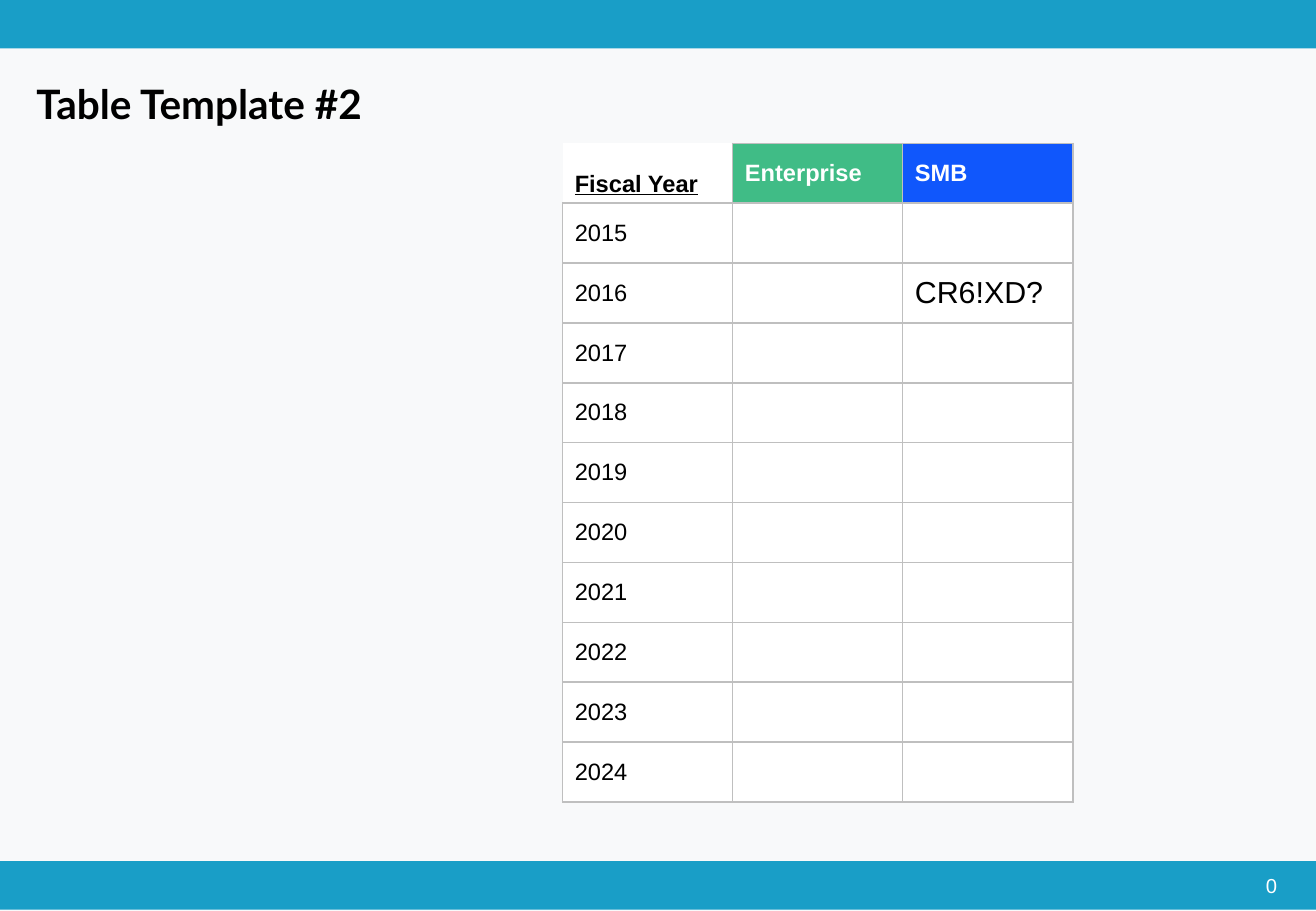
from dataclasses import dataclass

from pptx import Presentation
from pptx import util as u
from pptx.dml.color import RGBColor
from pptx.enum import shapes, text
from pptx.oxml import parse_xml
from pptx.oxml.ns import nsdecls

TEAL, WHITE, BLACK, GREY = "199EC7", "FFFFFF", "000000", "BFBFBF"
WIDTH, HEIGHT, BAND_HEIGHT = 10.83, 7.5, 0.4
YEARS = range(2015, 2025)
COLUMN_WIDTH, ROW_HEIGHT = 1.4, 0.493
EDGES = ("L", "R", "T", "B")


@dataclass
class Entry:
    """Content and look of one table cell."""

    words: str = ""
    fill: str = WHITE
    color: str = BLACK
    size: float = 14
    bold: bool = False
    underline: bool = False
    anchor: text.MSO_ANCHOR = text.MSO_ANCHOR.MIDDLE
    edges: tuple[str, ...] = EDGES


def rgb(color: str) -> RGBColor:
    """Turn a hex string into a colour."""
    return RGBColor.from_string(color)


def write(frame, words: str, *, size: float, color: str = BLACK, font: str = "Arial",
          bold: bool = False, underline: bool = False, align=text.PP_ALIGN.LEFT) -> None:
    """Put one formatted line of text into a text frame."""
    paragraph = frame.paragraphs[0]
    paragraph.alignment = align
    run = paragraph.add_run()
    run.text = words
    run.font.name = font
    run.font.size = u.Pt(size)
    run.font.bold = bold
    run.font.underline = underline
    run.font.color.rgb = rgb(color)


def add_band(slide, top: float) -> None:
    """Draw a full-width band."""
    band = slide.shapes.add_shape(shapes.MSO_SHAPE.RECTANGLE, 0, u.Inches(top),
                                  u.Inches(WIDTH), u.Inches(BAND_HEIGHT))
    band.shadow.inherit = False
    band.fill.solid()
    band.fill.fore_color.rgb = rgb(TEAL)
    band.line.fill.background()


def add_text(slide, words: str, left: float, top: float, width: float, height: float,
             **style) -> None:
    """Add a text box without margins."""
    frame = slide.shapes.add_textbox(*map(u.Inches, (left, top, width, height))).text_frame
    frame.word_wrap = True
    frame.margin_left = frame.margin_right = frame.margin_top = frame.margin_bottom = 0
    write(frame, words, **style)


def edge_xml(edge: str, visible: bool) -> str:
    """Describe one cell border."""
    paint = f'<a:solidFill><a:srgbClr val="{GREY}"/></a:solidFill>' if visible else "<a:noFill/>"
    return f'<a:ln{edge} {nsdecls("a")} w="{u.Pt(1)}">{paint}</a:ln{edge}>'


def fill_cell(cell, entry: Entry) -> None:
    """Apply an entry to a table cell."""
    properties = cell._tc.get_or_add_tcPr()
    for edge in EDGES:
        properties.append(parse_xml(edge_xml(edge, edge in entry.edges)))
    cell.fill.solid()
    cell.fill.fore_color.rgb = rgb(entry.fill)
    cell.vertical_anchor = entry.anchor
    if entry.words:
        write(cell.text_frame, entry.words, size=entry.size, color=entry.color,
              bold=entry.bold, underline=entry.underline)


def add_grid(slide, rows: list[list[Entry]], left: float, top: float) -> None:
    """Draw the table of entries with equal rows and columns."""
    columns = len(rows[0])
    grid = slide.shapes.add_table(len(rows), columns, u.Inches(left), u.Inches(top),
                                  u.Inches(COLUMN_WIDTH * columns),
                                  u.Inches(ROW_HEIGHT * len(rows))).table
    grid.first_row = grid.horz_banding = False
    for r, row in enumerate(rows):
        for c, entry in enumerate(row):
            fill_cell(grid.cell(r, c), entry)


def main() -> None:
    """Build and save the slide."""
    deck = Presentation()
    deck.slide_width, deck.slide_height = u.Inches(WIDTH), u.Inches(HEIGHT)
    slide = deck.slides.add_slide(deck.slide_layouts[6])
    slide.background.fill.solid()
    slide.background.fill.fore_color.rgb = rgb("F8F9FA")

    for top in (7.09, 0):
        add_band(slide, top)
    add_text(slide, "Table Template #2", 0.3, 0.65, 10.21, 0.78,
             size=24, font="Lato", bold=True)
    add_text(slide, "0", 9.92, 7.19, 0.59, 0.2,
             size=12, color=WHITE, align=text.PP_ALIGN.RIGHT)

    header = [
        Entry("Fiscal Year", bold=True, underline=True,
              anchor=text.MSO_ANCHOR.BOTTOM, edges=("R", "B")),
        Entry("Enterprise", fill="40BC86", color=WHITE, bold=True),
        Entry("SMB", fill="1057FC", color=WHITE, bold=True),
    ]
    smb_values = {2016: Entry("CR6!XD?", size=18)}
    body = [[Entry(str(year)), Entry(), smb_values.get(year, Entry())] for year in YEARS]
    add_grid(slide, [header, *body], 4.63, 1.18)
    deck.save("out.pptx")


main()
